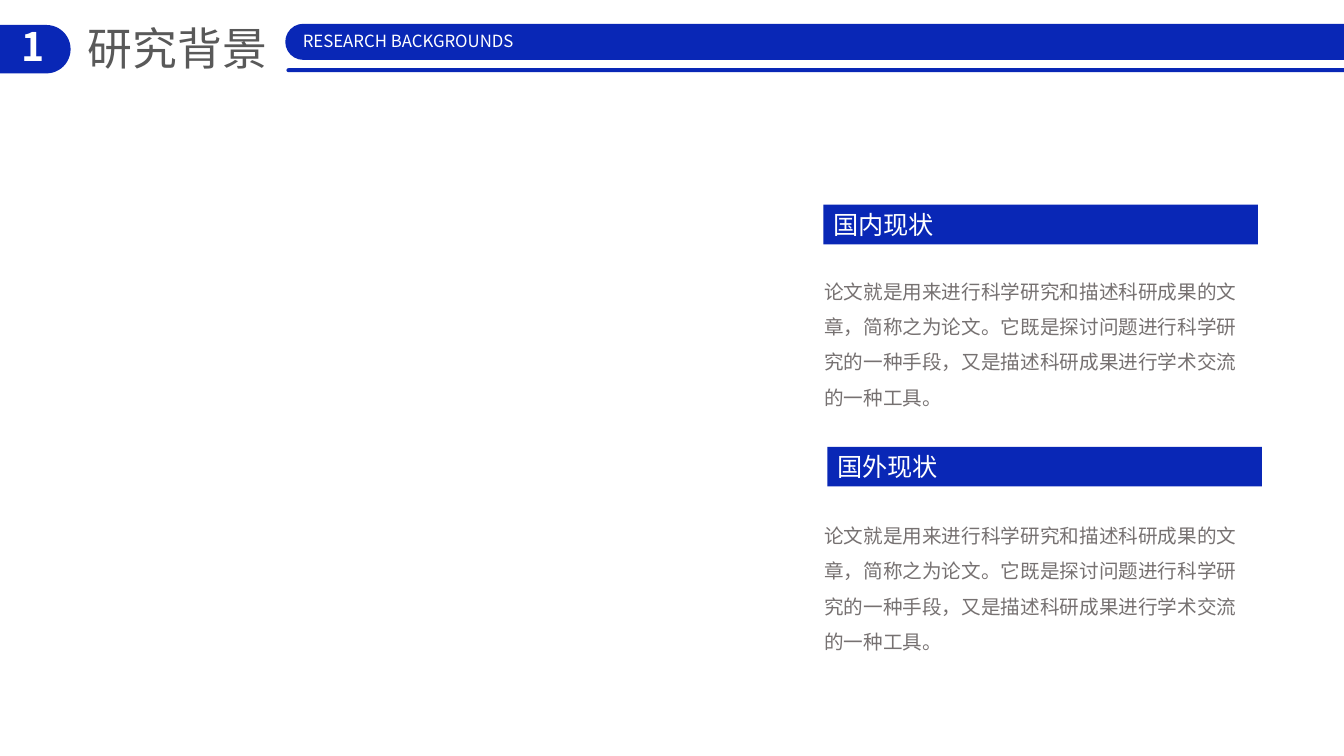
from lxml.etree import SubElement
from pptx import Presentation
from pptx.dml.color import RGBColor
from pptx.enum.shapes import MSO_SHAPE
from pptx.enum.text import MSO_AUTO_SIZE, PP_ALIGN
from pptx.oxml.ns import qn
from pptx.util import Cm, Pt

BLUE = RGBColor(0x09, 0x27, 0xB6)
WHITE = RGBColor(0xFF, 0xFF, 0xFF)
DARK_GREY = RGBColor(0x59, 0x59, 0x59)
GREY = RGBColor(0x76, 0x71, 0x71)
FONT = "Noto Sans CJK SC"

SUMMARY = (
    "论文就是用来进行科学研究和描述科研成果的文章，简称之为论文。"
    "它既是探讨问题进行科学研究的一种手段，又是描述科研成果进行学术交流的一种工具。"
)


def add_bar(page, left, top, width, height, kind=MSO_SHAPE.RECTANGLE):
    """Draw a plain blue bar; rounded bars get fully round ends."""
    bar = page.shapes.add_shape(kind, Cm(left), Cm(top), Cm(width), Cm(height))
    bar.shadow.inherit = False
    bar.fill.solid()
    bar.fill.fore_color.rgb = BLUE
    bar.line.fill.background()
    if kind == MSO_SHAPE.ROUNDED_RECTANGLE:
        bar.adjustments[0] = 0.5


def add_text(page, text, left, top, width, height, size, color,
             wrap=False, align=PP_ALIGN.LEFT, bold=False, spacing=None, inset=True):
    """Place one paragraph of text in a box."""
    box = page.shapes.add_textbox(Cm(left), Cm(top), Cm(width), Cm(height))
    frame = box.text_frame
    frame.word_wrap = wrap
    frame.auto_size = MSO_AUTO_SIZE.SHAPE_TO_FIT_TEXT
    if not inset:
        frame.margin_left = frame.margin_right = Cm(0)
        frame.margin_top = frame.margin_bottom = Cm(0)
    para = frame.paragraphs[0]
    para.text = text
    para.alignment = align
    if spacing:
        para.line_spacing = spacing
    font = para.font
    font.size = Pt(size)
    font.bold = bold
    font.color.rgb = color
    font.name = FONT
    # East Asian characters take their own typeface element
    properties = para._p.pPr.find(qn("a:defRPr"))
    SubElement(properties, qn("a:ea")).set("typeface", FONT)


def add_header(page, number, title, caption):
    """Number tab, section title and the caption bar with its rule."""
    rounded = MSO_SHAPE.ROUNDED_RECTANGLE
    add_bar(page, -0.71, 0.63, 2.49, 1.22, rounded)
    add_text(page, number, 0.18, 0.56, 1.3, 1.45, 28, WHITE,
             wrap=True, align=PP_ALIGN.CENTER, bold=True, inset=False)
    add_text(page, title, 1.96, 0.41, 5.08, 1.63, 32, DARK_GREY)
    add_bar(page, 7.19, 0.6, 28.02, 0.91, rounded)
    add_bar(page, 7.22, 1.72, 28.02, 0.1, rounded)
    add_text(page, caption, 7.24, 0.66, 6.1, 0.76, 12, WHITE, align=PP_ALIGN.CENTER)


def add_section(page, heading, body, left, top, body_top):
    """Blue heading bar with a paragraph below it."""
    add_bar(page, left, top, 10.95, 1)
    add_text(page, heading, left, top - 0.01, 3.07, 1.02, 18, WHITE)
    add_text(page, body, 20.52, body_top, 11.28, 3.84, 14, GREY, wrap=True, spacing=1.5)


def main():
    deck = Presentation()
    deck.slide_width = Cm(33.87)
    deck.slide_height = Cm(19.05)
    page = deck.slides.add_slide(deck.slide_layouts[6])

    # Header
    add_header(page, "1", "研究背景", "RESEARCH BACKGROUNDS")

    # Research status at home and abroad
    add_section(page, "国内现状", SUMMARY, 20.75, 5.16, 6.63)
    add_section(page, "国外现状", SUMMARY, 20.85, 11.26, 12.78)

    deck.save("out.pptx")


if __name__ == "__main__":
    main()
